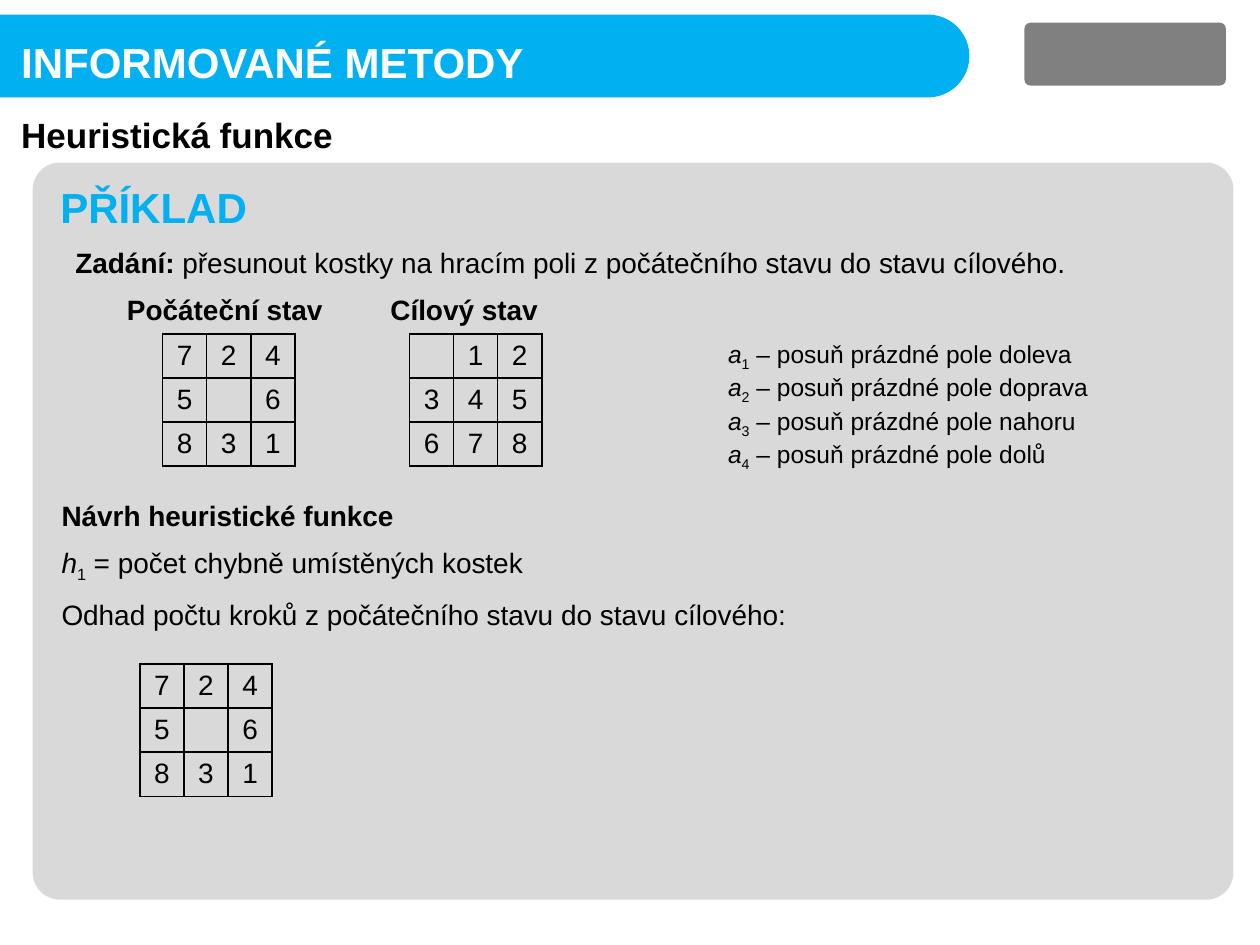
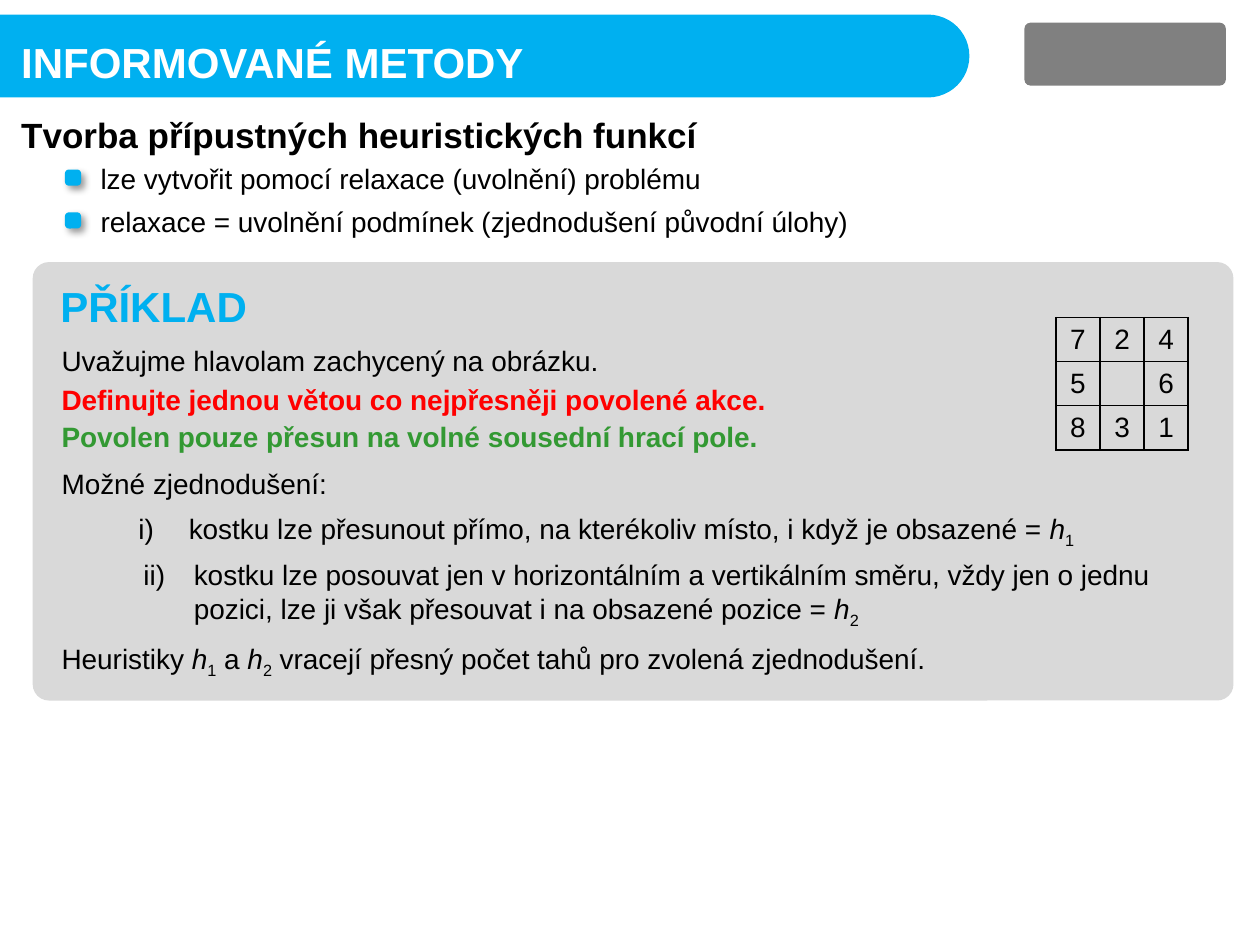
from dataclasses import dataclass
from typing import Union

from lxml import etree
from pptx import Presentation
from pptx import util as u
from pptx.dml import color
from pptx.enum import shapes, text
from pptx.oxml import ns

BLUE, GREY, BLACK, WHITE = "00B0F0", "D9D9D9", "000000", "FFFFFF"
RED, GREEN = "FF0000", "339933"
LOGO_GREY = "808080"
FONT = "Arial"
CELL = 0.35
LINE_H = 0.37
LEFT = 0.39
START = ("724", "5 6", "831")
GOAL = (" 12", "345", "678")


@dataclass(frozen=True)
class Box:
    left: float
    top: float
    width: float
    height: float = LINE_H

    def emu(self) -> tuple:
        return tuple(u.Inches(v) for v in (self.left, self.top, self.width, self.height))


@dataclass(frozen=True)
class Run:
    text: str
    bold: bool = False
    italic: bool = False
    sub: bool = False


@dataclass(frozen=True)
class Puzzle:
    left: float
    top: float
    rows: tuple


Line = Union[str, list]


def rgb(value: str) -> color.RGBColor:
    return color.RGBColor.from_string(value)


def child(parent, tag: str, **attrs):
    el = etree.SubElement(parent, ns.qn(tag))
    for name, value in attrs.items():
        el.set(name, str(value))
    return el


def solid(parent, hex_color: str):
    return child(child(parent, "a:solidFill"), "a:srgbClr", val=hex_color)


def symbol(name: str, index: int) -> list:
    return [Run(name, italic=True), Run(str(index), sub=True)]


def style_run(r, size: float, hex_color: str, bold: bool, italic: bool = False) -> None:
    f = r.font
    f.name, f.size, f.bold, f.italic = FONT, u.Pt(size), bold, italic
    f.color.rgb = rgb(hex_color)


def add_text(slide, box: Box, *lines: Line, size: float = 16, hex_color: str = BLACK,
             bold: bool = False, wrap: bool = True, middle: bool = False,
             tab: float = 0, hanging: bool = False) -> None:
    tf = slide.shapes.add_textbox(*box.emu()).text_frame
    tf.word_wrap = wrap
    tf.auto_size = text.MSO_AUTO_SIZE.SHAPE_TO_FIT_TEXT
    tf.vertical_anchor = text.MSO_ANCHOR.MIDDLE if middle else text.MSO_ANCHOR.TOP
    for i, line in enumerate(lines):
        p = tf.paragraphs[0] if i == 0 else tf.add_paragraph()
        if tab:
            pPr = p._p.get_or_add_pPr()
            if hanging:
                pPr.set("marL", str(u.Inches(tab)))
                pPr.set("indent", str(-u.Inches(tab)))
            child(child(pPr, "a:tabLst"), "a:tab", pos=u.Inches(tab), algn="l")
        for part in [Run(line)] if isinstance(line, str) else line:
            r = p.add_run()
            r.text = part.text
            style_run(r, size, hex_color, bold or part.bold, part.italic)
            if part.sub:
                r._r.get_or_add_rPr().set("baseline", "-25000")


def add_round(slide, box: Box, fill: str, adj: float, outlined: bool = False):
    sp = slide.shapes.add_shape(shapes.MSO_SHAPE.ROUNDED_RECTANGLE, *box.emu())
    sp.adjustments[0] = adj
    sp.shadow.inherit = False
    sp.fill.solid()
    sp.fill.fore_color.rgb = rgb(fill)
    if outlined:
        sp.line.color.rgb = rgb(fill)
        sp.line.width = u.Pt(2)
    else:
        sp.line.fill.background()
    return sp


def add_bullet(slide, top: float, line: str) -> None:
    sp = add_round(slide, Box(0.53, top + 0.13, 0.1, 0.1), BLUE, 0.17, outlined=True)
    effects = sp._element.spPr.find(ns.qn("a:effectLst"))
    shadow = child(effects, "a:outerShdw", blurRad=u.Pt(4), dist=u.Pt(3),
                   dir=45 * 60000, algn="tl", rotWithShape=0)
    child(child(shadow, "a:srgbClr", val=BLACK), "a:alpha", val=40000)
    add_text(slide, Box(0.7, top, 8.06), line, middle=True)


def add_puzzle(slide, puzzle: Puzzle) -> None:
    n = len(puzzle.rows)
    box = Box(puzzle.left, puzzle.top, n * CELL, n * CELL)
    table = slide.shapes.add_table(n, n, *box.emu()).table
    table.first_row = table.horz_banding = False
    for i, tiles in enumerate(puzzle.rows):
        table.rows[i].height = table.columns[i].width = u.Inches(CELL)
        for j, tile in enumerate(tiles):
            cell = table.cell(i, j)
            cell.margin_left = cell.margin_right = cell.margin_top = cell.margin_bottom = 0
            cell.vertical_anchor = text.MSO_ANCHOR.MIDDLE
            tcPr = cell._tc.get_or_add_tcPr()
            for side in ("a:lnL", "a:lnR", "a:lnT", "a:lnB"):
                solid(child(tcPr, side, w=u.Pt(1)), BLACK)
            cell.fill.background()
            p = cell.text_frame.paragraphs[0]
            p.alignment = text.PP_ALIGN.CENTER
            p.font.size = u.Pt(16)
            if tile.strip():
                r = p.add_run()
                r.text = tile
                style_run(r, 16, BLACK, False)


def add_frame(prs, heading: str):
    slide = prs.slides.add_slide(prs.slide_layouts[6])
    add_round(slide, Box(8.13, 0.18, 1.6, 0.5), LOGO_GREY, 0.1)
    add_round(slide, Box(-0.35, 0.13, 8.03, 0.63), BLUE, 0.5, outlined=True)
    add_text(slide, Box(0.07, 0.24, 4.23, 0.5), "INFORMOVANÉ METODY",
             size=24, hex_color=WHITE, bold=True, wrap=False)
    add_text(slide, Box(0.07, 0.85, 5.87, 0.44), heading, size=20, bold=True, middle=True)
    return slide


def add_example(slide, top: float, height: float) -> None:
    add_round(slide, Box(0.26, top, 9.53, height), GREY, 0.037)
    add_text(slide, Box(0.38, top + 0.1, 1.79, 0.5), "PŘÍKLAD",
             size=24, hex_color=BLUE, bold=True, wrap=False)


def heuristic_slide(prs) -> None:
    slide = add_frame(prs, "Heuristická funkce")
    add_example(slide, 1.29, 5.85)
    add_text(slide, Box(0.5, 1.9, 9.08),
             [Run("Zadání: ", bold=True),
              Run("přesunout kostky na hracím poli z počátečního stavu do stavu cílového.")])
    add_text(slide, Box(0.91, 2.27, 1.77), "Počáteční stav", bold=True, wrap=False)
    add_text(slide, Box(3, 2.27, 1.39), "Cílový stav", bold=True, wrap=False)
    for puzzle in (Puzzle(1.29, 2.65, START), Puzzle(3.25, 2.65, GOAL),
                   Puzzle(1.11, 5.27, START)):
        add_puzzle(slide, puzzle)
    directions = ("doleva", "doprava", "nahoru", "dolů")
    actions = [symbol("a", i) + [Run(f" – posuň prázdné pole {way}")]
               for i, way in enumerate(directions, 1)]
    add_text(slide, Box(5.68, 2.64, 3.19, 1.04), *actions, size=14)
    add_text(slide, Box(LEFT, 3.91, 9.08), "Návrh heuristické funkce", bold=True)
    add_text(slide, Box(LEFT, 4.3, 7.96),
             symbol("h", 1) + [Run(" = počet chybně umístěných kostek")], middle=True)
    add_text(slide, Box(LEFT, 4.69, 6.03),
             "Odhad počtu kroků z počátečního stavu do stavu cílového:", wrap=False)


def relaxation_slide(prs) -> None:
    slide = add_frame(prs, "Tvorba přípustných heuristických funkcí")
    bullets = ("lze vytvořit pomocí relaxace (uvolnění) problému",
               "relaxace = uvolnění podmínek (zjednodušení původní úlohy)")
    for i, line in enumerate(bullets):
        add_bullet(slide, 1.23 + 0.34 * i, line)
    add_example(slide, 2.08, 3.48)
    add_puzzle(slide, Puzzle(8.38, 2.52, START))
    add_text(slide, Box(LEFT, 2.68, 7.5), "Uvažujme hlavolam zachycený na obrázku.")
    add_text(slide, Box(LEFT, 2.99, 6.34),
             "Definujte jednou větou co nejpřesněji povolené akce.", hex_color=RED, bold=True)
    add_text(slide, Box(LEFT, 3.28, 6.45),
             "Povolen pouze přesun na volné sousední hrací pole.", hex_color=GREEN, bold=True)
    add_text(slide, Box(LEFT, 3.65, 2.7), "Možné zjednodušení:")
    add_text(slide, Box(1, 4.01, 8.2),
             [Run("i)\tkostku lze přesunout přímo, na kterékoliv místo, "
                  "i když je obsazené = ")] + symbol("h", 1), tab=0.4)
    add_text(slide, Box(1.04, 4.38, 8.54, 0.64),
             [Run("ii)\tkostku lze posouvat jen v horizontálním a vertikálním směru, "
                  "vždy jen o jednu pozici, lze ji však přesouvat i na obsazené pozice = ")]
             + symbol("h", 2), tab=0.4, hanging=True)
    add_text(slide, Box(LEFT, 5.04, 8.81),
             [Run("Heuristiky ")] + symbol("h", 1) + [Run(" a ")] + symbol("h", 2)
             + [Run(" vracejí přesný počet tahů pro zvolená zjednodušení.")])


def main() -> None:
    prs = Presentation()
    prs.slide_width, prs.slide_height = u.Inches(10), u.Inches(7.5)
    heuristic_slide(prs)
    relaxation_slide(prs)
    prs.save("out.pptx")


if __name__ == "__main__":
    main()
